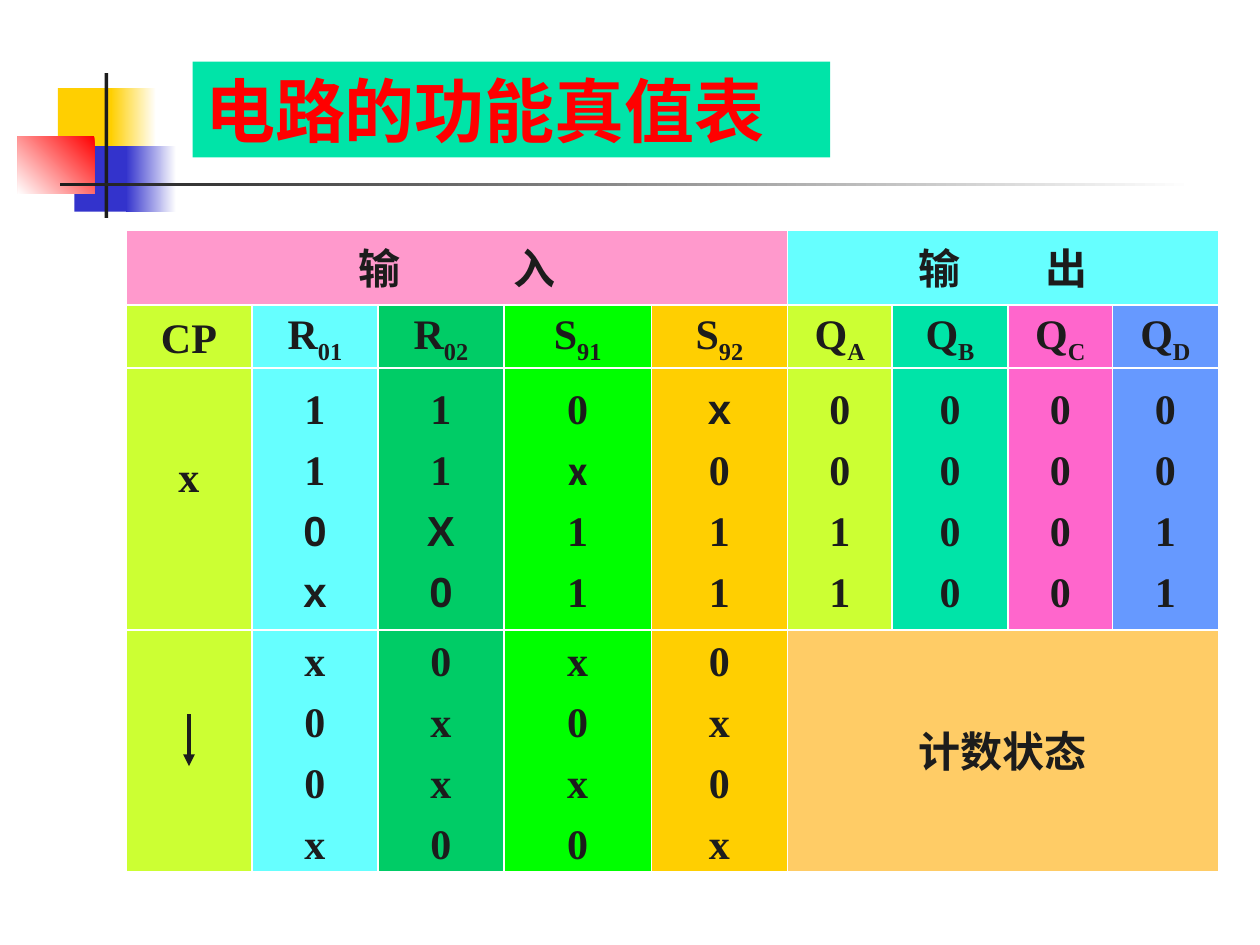
from lxml import etree
from pptx import Presentation
from pptx.dml.color import RGBColor
from pptx.enum.shapes import MSO_CONNECTOR as CONN, MSO_SHAPE as SHAPE
from pptx.enum.text import MSO_ANCHOR as ANCHOR, PP_ALIGN as ALIGN
from pptx.oxml.ns import qn
from pptx.util import Inches, Pt

WHITE = RGBColor(0xFF, 0xFF, 0xFF)
INK = RGBColor(0x1C, 0x1C, 0x1C)
RED = RGBColor(0xFF, 0x00, 0x00)
GOLD = RGBColor(0xFF, 0xCF, 0x01)
BLUE = RGBColor(0x33, 0x33, 0xCC)
TEAL = RGBColor(0x00, 0xE4, 0xA8)
PINK = RGBColor(0xFF, 0x99, 0xCC)
CYAN = RGBColor(0x66, 0xFF, 0xFF)
LIME = RGBColor(0xCC, 0xFF, 0x33)
GREEN = RGBColor(0x00, 0xCC, 0x66)
BRIGHT = RGBColor(0x00, 0xFF, 0x00)
MAGENTA = RGBColor(0xFF, 0x66, 0xCC)
SKY = RGBColor(0x66, 0x99, 0xFF)
SAND = RGBColor(0xFF, 0xCC, 0x66)

SERIF, SANS, CJK = "Times New Roman", "Arial", "Noto Sans CJK SC"

# Table grid: column edges, then row edges
X = [1, 2, 3, 4, 5.17, 6.25, 7.08, 8, 8.83, 9.67]
Y = [1.83, 2.42, 2.92, 5, 6.92]

# Letter, subscript, colour, set/reset states, counting states
COLUMNS = [
    ("CP", "", LIME, "x", ""),
    ("R", "01", CYAN, "110x", "x00x"),
    ("R", "02", GREEN, "11X0", "0xx0"),
    ("S", "91", BRIGHT, "0x11", "x0x0"),
    ("S", "92", GOLD, "x011", "0x0x"),
    ("Q", "A", LIME, "0011", ""),
    ("Q", "B", TEAL, "0000", ""),
    ("Q", "C", MAGENTA, "0000", ""),
    ("Q", "D", SKY, "0011", ""),
]
# Subscript and row of the set/reset states in another typeface
OTHER_FONTS = {("01", 2): SANS, ("01", 3): SANS, ("02", 2): SANS,
               ("02", 3): SANS, ("91", 1): "Calibri", ("92", 0): SANS}


class Deck:
    text_style = {"size": Pt(24), "bold": True, "name": SERIF}

    def __init__(self):
        self.prs = Presentation()
        self.prs.slide_width, self.prs.slide_height = Inches(10), Inches(7.5)
        self.s = self.prs.slides.add_slide(self.prs.slide_layouts[6])

    def rect(self, x, y, w, h, fill, angle=None):
        """Add a borderless rectangle; a pair of colours makes a gradient."""
        sp = self.s.shapes.add_shape(SHAPE.RECTANGLE, *map(Inches, (x, y, w, h)))
        sp.shadow.inherit = False
        sp.line.fill.background()
        if angle is None:
            sp.fill.solid()
            sp.fill.fore_color.rgb = fill
        else:
            sp.fill.gradient()
            sp.fill.gradient_angle = angle
            for stop, color in zip(sp.fill.gradient_stops, fill):
                stop.color.rgb = color
        return sp

    def run(self, p, text, color=INK, **changes):
        r = p.add_run()
        r.text = text
        for key, value in {**self.text_style, **changes}.items():
            setattr(r.font, key, value)
        r.font.color.rgb = color
        rPr = r.font._element
        etree.SubElement(rPr, qn("a:ea"), typeface=CJK)
        return rPr

    def cell(self, col, row, fill, span=1):
        """Add a white-edged table cell and return its text frame."""
        sp = self.rect(X[col], Y[row], X[col + span] - X[col],
                       Y[row + 1] - Y[row], fill)
        sp.line.color.rgb = WHITE
        sp.line.width = Pt(0.75)
        tf = sp.text_frame
        tf.word_wrap = False
        tf.vertical_anchor = ANCHOR.MIDDLE
        tf.paragraphs[0].alignment = ALIGN.CENTER
        return tf

    def heading(self, col, span, fill, words, gap):
        """Add a heading cell whose two words stand a wide gap apart."""
        p = self.cell(col, 0, fill, span).paragraphs[0]
        self.run(p, words[0])
        self.run(p, " ").set("spc", str(gap * 100))
        self.run(p, words[1])

    def states(self, col, row, fill, values, fonts):
        tf = self.cell(col, row, fill)
        for i, value in enumerate(values):
            p = tf.add_paragraph() if i else tf.paragraphs[0]
            p.alignment = ALIGN.CENTER
            if i:
                p.space_before = Pt(6)
            self.run(p, value, name=fonts.get(i, SERIF))
        return tf

    def arrow(self, x1, y1, x2, y2):
        line = self.s.shapes.add_connector(CONN.STRAIGHT,
                                           *map(Inches, (x1, y1, x2, y2)))
        line.line.color.rgb = INK
        line.line.width = Pt(2.25)
        etree.SubElement(line.line._get_or_add_ln(), qn("a:tailEnd"), type="triangle")
        etree.SubElement(line._element.spPr, qn("a:effectLst"))


def main():
    deck = Deck()

    # Corner ornament and rule
    deck.rect(0.46, 0.7, 0.48, 0.52, GOLD)
    deck.rect(0.88, 0.7, 0.36, 0.52, (WHITE, GOLD), 180)
    deck.rect(0.59, 1.16, 0.46, 0.52, BLUE)
    deck.rect(1, 1.16, 0.4, 0.52, (WHITE, BLUE), 180)
    deck.rect(0.14, 1.08, 0.61, 0.46, (RED, WHITE), 225)
    deck.rect(0.83, 0.58, 0.03, 1.15, INK)
    deck.rect(0.48, 1.45, 9, 0.03, (WHITE, INK), 180)

    # Title
    tf = deck.rect(1.53, 0.49, 5.06, 0.76, TEAL).text_frame
    tf.word_wrap = True
    tf.vertical_anchor = ANCHOR.BOTTOM
    tf.paragraphs[0].alignment = ALIGN.LEFT
    deck.run(tf.paragraphs[0], "电路的功能真值表", RED, size=Pt(40), name=CJK)

    # Input and output headings
    deck.heading(0, 5, PINK, "输入", 59)
    deck.heading(5, 4, CYAN, "输出", 43)

    # Columns: signal name, set/reset states, counting states
    for col, (letter, sub, fill, preset, counting) in enumerate(COLUMNS):
        p = deck.cell(col, 1, fill).paragraphs[0]
        deck.run(p, letter)
        if sub:
            deck.run(p, sub).set("baseline", "-25000")
        fonts = {i: name for (key, i), name in OTHER_FONTS.items() if key == sub}
        tf = deck.states(col, 2, fill, preset, fonts)
        if len(preset) == 1:
            tf.margin_bottom = Inches(0.42)
        if col < 5:
            deck.states(col, 3, fill, counting, {})

    # Falling clock edge and counting result
    deck.arrow(1.5, 5.67, 1.5, 6.08)
    deck.run(deck.cell(5, 3, SAND, 4).paragraphs[0], "计数状态")

    deck.prs.save("out.pptx")


if __name__ == "__main__":
    main()
